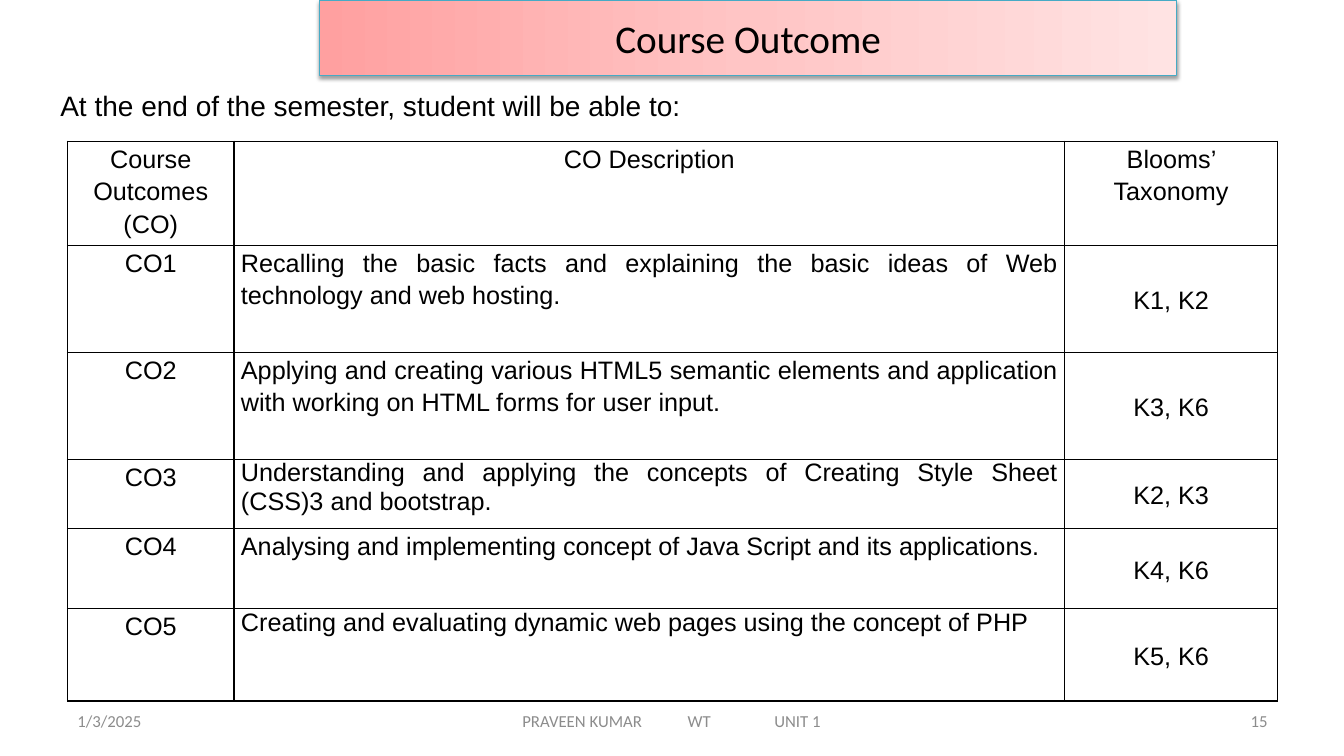
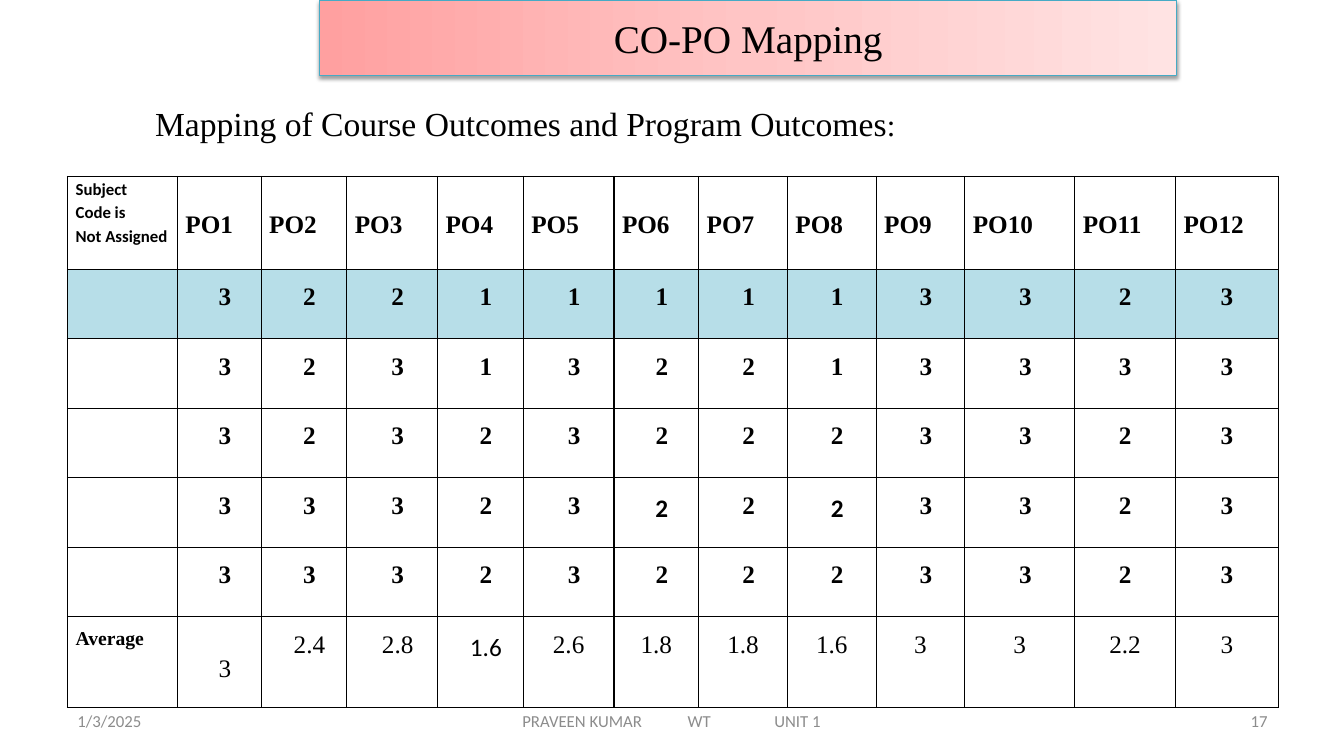
import copy

import lxml.etree
import pptx
import pptx.dml.color
import pptx.enum.shapes
import pptx.enum.text
import pptx.oxml.ns
import pptx.util

Inches = pptx.util.Inches
Pt = pptx.util.Pt
qn = pptx.oxml.ns.qn
ALIGN = pptx.enum.text.PP_ALIGN
ANCHOR = pptx.enum.text.MSO_ANCHOR

BLACK = "000000"
GREY = "8C8C8C"
BAND_LINE = "46AAC5"
BAND_STOPS = ["FFA0A0", "FFC5C5", "FFE3E3"]
HIGHLIGHT = "B7DEE8"
SANS, SERIF, BODY = "Arial", "Times New Roman", "Calibri"
DATE = "1/3/2025"
FOOTER = "PRAVEEN KUMAR\tWT\tUNIT 1"
FOOTER_TABS = [1.64, 2.5]

OUTCOME_COLUMNS = [1.65, 8.24, 2.11]
OUTCOME_ROWS = [1.03, 1.06, 1.06, 0.69, 0.79, 0.92]
OUTCOME_HEADERS = ["Course Outcomes (CO)", "CO Description", "Blooms’ Taxonomy"]
OUTCOMES = [
    ("Recalling the basic facts and explaining the basic ideas of Web "
     "technology and web hosting.", "K1, K2", 1.15),
    ("Applying and creating various HTML5 semantic elements and application "
     "with working on HTML forms for user input.", "K3, K6", 1.15),
    ("Understanding and applying the concepts of Creating Style Sheet "
     "(CSS)3 and bootstrap.", "K2, K3", 1),
    ("Analysing and implementing concept of Java Script and its applications.",
     "K4, K6", 1.15),
    ("Creating and evaluating dynamic web pages using the concept of PHP",
     "K5, K6", 1),
]

MAPPING_COLUMNS = [1.09, 0.83, 0.85, 0.9, 0.85, 0.9, 0.84, 0.88, 0.88, 0.88, 1.09, 1, 1.02]
MAPPING_ROWS = [0.92] + [0.69] * 5 + [0.9]
MAPPING = [
    [3, 2, 2, 1, 1, 1, 1, 1, 3, 3, 2, 3],
    [3, 2, 3, 1, 3, 2, 2, 1, 3, 3, 3, 3],
    [3, 2, 3, 2, 3, 2, 2, 2, 3, 3, 2, 3],
    [3, 3, 3, 2, 3, 2, 2, 2, 3, 3, 2, 3],
    [3, 3, 3, 2, 3, 2, 2, 2, 3, 3, 2, 3],
]
BODY_FONT_CELLS = {(4, 6), (4, 8), (6, 4)}


def colour(value):
    return pptx.dml.color.RGBColor.from_string(value)


def add_span(para, text, font, size, tone=BLACK, bold=False):
    span = para.add_run()
    span.text = text
    span.font.name = font
    span.font.size = Pt(size)
    span.font.bold = bold
    span.font.color.rgb = colour(tone)


def add_text(page, place, text, font, size, tone=BLACK, align=ALIGN.LEFT, anchor=ANCHOR.MIDDLE):
    box = page.shapes.add_textbox(*map(Inches, place))
    frame = box.text_frame
    frame.word_wrap = True
    frame.vertical_anchor = anchor
    para = frame.paragraphs[0]
    para.alignment = align
    add_span(para, text, font, size, tone)
    return box


def add_tabs(para, positions):
    tabs = lxml.etree.SubElement(para._p.get_or_add_pPr(), qn("a:tabLst"))
    for position in positions:
        lxml.etree.SubElement(tabs, qn("a:tab"), pos=str(Inches(position)), algn="l")


def add_footer(page, number):
    add_text(page, (0.67, 6.95, 3.11, 0.4), DATE, BODY, 12, GREY)
    centre = add_text(page, (4.56, 6.95, 4.22, 0.4), FOOTER, BODY, 12, GREY)
    centre.text_frame.margin_left = Inches(0.62)
    add_tabs(centre.text_frame.paragraphs[0], FOOTER_TABS)
    add_text(page, (9.56, 6.95, 3.11, 0.4), str(number), BODY, 12, GREY, ALIGN.RIGHT)


def fill_gradient(shape, tones):
    shape.fill.gradient()
    shape.fill.gradient_angle = 0
    stop_list = next(shape.element.iter(qn("a:gsLst")))
    while len(stop_list) < len(tones):
        stop_list.append(copy.deepcopy(stop_list[0]))
    for index, (stop, tone) in enumerate(zip(shape.fill.gradient_stops, tones)):
        stop.position = index / (len(tones) - 1)
        stop.color.rgb = colour(tone)


def add_shadow(shape):
    shape.shadow.inherit = False
    effects = next(shape.element.iter(qn("a:effectLst")))
    shadow = lxml.etree.SubElement(
        effects, qn("a:outerShdw"), blurRad=str(Pt(3.1)), dist=str(Pt(1.6)),
        dir="5400000", rotWithShape="0")
    tone = lxml.etree.SubElement(shadow, qn("a:srgbClr"), val=BLACK)
    lxml.etree.SubElement(tone, qn("a:alpha"), val="38000")


def add_title(page, text, font):
    band = page.shapes.add_shape(
        pptx.enum.shapes.MSO_SHAPE.RECTANGLE, *map(Inches, (3.17, 0, 8.5, 0.75)))
    fill_gradient(band, BAND_STOPS)
    band.line.color.rgb = colour(BAND_LINE)
    band.line.width = Pt(0.75)
    add_shadow(band)
    band.text_frame.vertical_anchor = ANCHOR.MIDDLE
    para = band.text_frame.paragraphs[0]
    para.alignment = ALIGN.CENTER
    add_span(para, text, font, 28)


def add_borders(cell):
    properties = cell._tc.get_or_add_tcPr()
    for index, side in enumerate(("lnL", "lnR", "lnT", "lnB")):
        line = lxml.etree.Element(qn("a:" + side), w=str(Pt(1)))
        solid = lxml.etree.SubElement(line, qn("a:solidFill"))
        lxml.etree.SubElement(solid, qn("a:srgbClr"), val=BLACK)
        properties.insert(index, line)


def add_grid(page, top, columns, rows, inset):
    frame = page.shapes.add_table(
        len(rows), len(columns), Inches(0.67), Inches(top), Inches(12), Inches(sum(rows)))
    grid = frame.table
    grid.first_row = False
    grid.horz_banding = False
    for column, width in zip(grid.columns, columns):
        column.width = Inches(width)
    for row, height in zip(grid.rows, rows):
        row.height = Inches(height)
    for cell in grid.iter_cells():
        cell.margin_left = cell.margin_right = Inches(inset)
        cell.margin_top = cell.margin_bottom = 0
        cell.fill.background()
        add_borders(cell)
    return grid


def write_cell(cell, text, font, size=18, bold=False, align=ALIGN.CENTER, spacing=1.15,
               anchor=ANCHOR.TOP, indent=0, after=0):
    cell.vertical_anchor = anchor
    frame = cell.text_frame
    for index, line in enumerate(text.split("\n")):
        para = frame.add_paragraph() if index else frame.paragraphs[0]
        para.alignment = align
        para.line_spacing = spacing
        para.space_after = Pt(after)
        if indent:
            para._p.get_or_add_pPr().set("marL", str(Inches(indent)))
        add_span(para, line, font, size, bold=bold)


def add_page(deck, title, title_font, number):
    page = deck.slides.add_slide(deck.slide_layouts[6])
    add_footer(page, number)
    add_title(page, title, title_font)
    return page


def build_outcomes(deck):
    page = add_page(deck, "Course Outcome", BODY, 15)
    add_text(page, (0.5, 0.82, 9.5, 0.44),
             "At the end of the semester, student will be able to:", SANS, 20)
    grid = add_grid(page, 1.4, OUTCOME_COLUMNS, OUTCOME_ROWS, 0.07)
    for column, header in enumerate(OUTCOME_HEADERS):
        write_cell(grid.cell(0, column), header, SANS)
    for row, (description, levels, spacing) in enumerate(OUTCOMES, 1):
        write_cell(grid.cell(row, 0), f"CO{row}", SANS)
        write_cell(grid.cell(row, 1), description, SANS, align=ALIGN.JUSTIFY, spacing=spacing)
        write_cell(grid.cell(row, 2), levels, SANS, anchor=ANCHOR.MIDDLE, after=10)


def write_score(grid, row, column, value, last_indented, bold, anchor=ANCHOR.TOP):
    write_cell(grid.cell(row, column), f"{value:g}",
               BODY if (row, column) in BODY_FONT_CELLS else SERIF,
               bold=bold, spacing=1.5, anchor=anchor,
               indent=0.11 if column <= last_indented else 0)


def build_mapping(deck):
    page = add_page(deck, "CO-PO Mapping", SERIF, 17)
    heading = add_text(page, (1.19, 0.86, 8.04, 0.89),
                       "Mapping of Course Outcomes and Program Outcomes", SERIF, 24,
                       align=ALIGN.CENTER, anchor=ANCHOR.TOP)
    heading.text_frame.margin_top = heading.text_frame.margin_bottom = Inches(0.1)
    para = heading.text_frame.paragraphs[0]
    para.line_spacing = 1.15
    add_span(para, ":", SERIF, 22)

    grid = add_grid(page, 1.75, MAPPING_COLUMNS, MAPPING_ROWS, 0.08)
    write_cell(grid.cell(0, 0), "Subject\nCode is\nNot Assigned", BODY, 12, True, ALIGN.JUSTIFY)
    for column in range(1, len(MAPPING_COLUMNS)):
        write_cell(grid.cell(0, column), f"PO{column}", SERIF, bold=True,
                   align=ALIGN.JUSTIFY, anchor=ANCHOR.MIDDLE)
        grid.cell(1, column).fill.solid()
    for cell in grid.rows[1].cells:
        cell.fill.solid()
        cell.fill.fore_color.rgb = colour(HIGHLIGHT)
    for row, scores in enumerate(MAPPING, 1):
        for column, score in enumerate(scores, 1):
            write_score(grid, row, column, score, 10, True)

    average_row = len(MAPPING) + 1
    write_cell(grid.cell(average_row, 0), "Average", SERIF, 14, True, ALIGN.JUSTIFY, 1.5)
    for column, scores in enumerate(zip(*MAPPING), 1):
        write_score(grid, average_row, column, sum(scores) / len(scores), 4, False,
                    ANCHOR.MIDDLE if column == 1 else ANCHOR.TOP)


def main():
    deck = pptx.Presentation()
    deck.slide_width = Inches(13.33)
    deck.slide_height = Inches(7.5)
    build_outcomes(deck)
    build_mapping(deck)
    deck.save("out.pptx")


if __name__ == "__main__":
    main()
